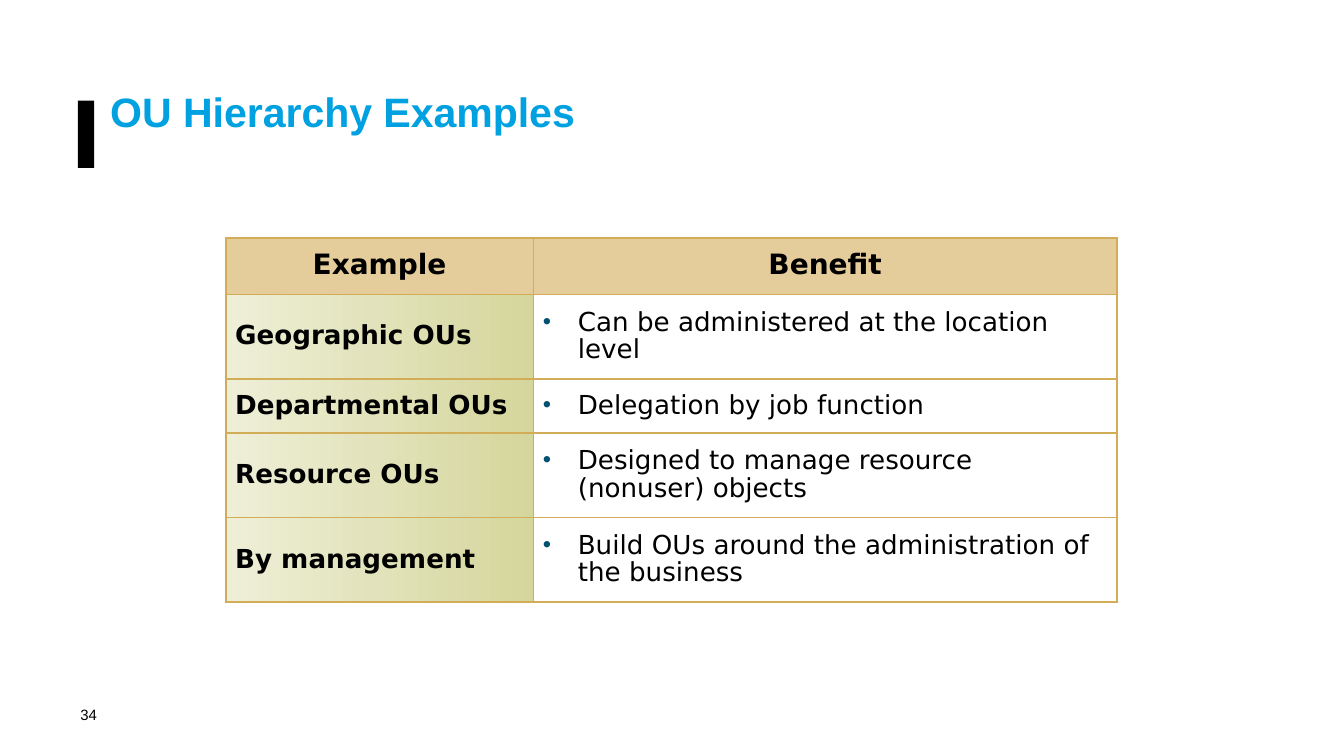
"""Build the slide that compares example OU hierarchies and their benefits."""
from typing import NamedTuple

import lxml.etree
import pptx
import pptx.dml.color
import pptx.enum.shapes
import pptx.enum.text
import pptx.oxml.ns
import pptx.util

RGBColor = pptx.dml.color.RGBColor
Inches = pptx.util.Inches
Pt = pptx.util.Pt
Align = pptx.enum.text.PP_ALIGN
qn = pptx.oxml.ns.qn

BLACK = RGBColor(0x00, 0x00, 0x00)
WHITE = RGBColor(0xFF, 0xFF, 0xFF)
TITLE_BLUE = RGBColor(0x00, 0xA1, 0xE1)
HEADER_TAN = RGBColor(0xE4, 0xCD, 0x9A)
BORDER_GOLD = RGBColor(0xD2, 0xAC, 0x56)
BULLET_BLUE = RGBColor(0x00, 0x50, 0x70)
LABEL_GRADIENT = (RGBColor(0xEE, 0xEF, 0xD7), RGBColor(0xD5, 0xD6, 0x9C))

SLIDE_WIDTH = 10
SLIDE_HEIGHT = SLIDE_WIDTH * 9 / 16
HEADING_FONT = "Arial"
TABLE_FONT = "DejaVu Sans"
COLUMN_WIDTHS = (2.29, 4.34)
HEADER_HEIGHT = 0.42
LINE_HEIGHTS = {1: 0.4, 2: 0.63}
CELL_MARGIN = 0.07
BULLET_INDENT = 0.26


class Hierarchy(NamedTuple):
    """One example with its benefit and the lines the benefit takes."""

    example: str
    benefit: str
    lines: int


HIERARCHIES = (
    Hierarchy("Geographic OUs", "Can be administered at the location level", 2),
    Hierarchy("Departmental OUs", "Delegation by job function", 1),
    Hierarchy("Resource OUs", "Designed to manage resource (nonuser) objects", 2),
    Hierarchy("By management", "Build OUs around the administration of the business", 2),
)


def set_font(paragraph, name: str, size: float, color: RGBColor, bold: bool) -> None:
    """Set the font that all runs of a paragraph share."""
    font = paragraph.font
    font.name, font.size, font.bold = name, Pt(size), bold
    font.color.rgb = color


def add_text(slide, text: str, box: tuple, margins: tuple, size: float,
             color: RGBColor, bold: bool) -> None:
    """Add a wrapped text box with one heading-font paragraph."""
    frame = slide.shapes.add_textbox(*map(Inches, box)).text_frame
    frame.word_wrap = True
    frame.margin_left = frame.margin_right = Inches(margins[0])
    frame.margin_top = frame.margin_bottom = Inches(margins[1])
    frame.text = text
    set_font(frame.paragraphs[0], HEADING_FONT, size, color, bold)


def add_bullet(paragraph) -> None:
    """Give a paragraph a hanging coloured bullet."""
    properties = paragraph._p.get_or_add_pPr()
    properties.set("marL", str(Inches(BULLET_INDENT)))
    properties.set("indent", str(-Inches(BULLET_INDENT)))
    color = lxml.etree.SubElement(properties, qn("a:buClr"))
    lxml.etree.SubElement(color, qn("a:srgbClr"), val=str(BULLET_BLUE))
    lxml.etree.SubElement(properties, qn("a:buSzPct"), val="90000")
    lxml.etree.SubElement(properties, qn("a:buFont"), typeface=HEADING_FONT)
    lxml.etree.SubElement(properties, qn("a:buChar"), char="•")


def add_borders(cell) -> None:
    """Draw a thin gold line on all four sides of a cell."""
    properties = cell._tc.get_or_add_tcPr()
    for position, side in enumerate(("a:lnL", "a:lnR", "a:lnT", "a:lnB")):
        line = lxml.etree.Element(qn(side), w=str(Pt(1)))
        fill = lxml.etree.SubElement(line, qn("a:solidFill"))
        lxml.etree.SubElement(fill, qn("a:srgbClr"), val=str(BORDER_GOLD))
        properties.insert(position, line)


def fill_cell(cell, colors: tuple) -> None:
    """Fill a cell with one colour, or a left-to-right gradient of two."""
    if len(colors) == 1:
        cell.fill.solid()
        cell.fill.fore_color.rgb = colors[0]
        return
    cell.fill.gradient()
    cell.fill.gradient_angle = 0
    for stop, color in zip(cell.fill.gradient_stops, colors):
        stop.color.rgb = color


def write_cell(cell, text: str, colors: tuple, size: float = 14, bold: bool = False,
               alignment=Align.LEFT, bulleted: bool = False) -> None:
    """Write and style one table cell."""
    cell.text = text
    cell.vertical_anchor = pptx.enum.text.MSO_ANCHOR.MIDDLE
    cell.margin_left = cell.margin_right = Inches(CELL_MARGIN)
    cell.margin_top = cell.margin_bottom = Inches(CELL_MARGIN)
    paragraph = cell.text_frame.paragraphs[0]
    paragraph.alignment = alignment
    paragraph.line_spacing = 0.9
    if bulleted:
        add_bullet(paragraph)
    set_font(paragraph, TABLE_FONT, size, BLACK, bold)
    fill_cell(cell, colors)
    add_borders(cell)


def add_hierarchy_table(slide, left: float, top: float) -> None:
    """Add the table of hierarchy examples and benefits."""
    heights = [HEADER_HEIGHT] + [LINE_HEIGHTS[item.lines] for item in HIERARCHIES]
    table = slide.shapes.add_table(
        len(heights), len(COLUMN_WIDTHS), Inches(left), Inches(top),
        Inches(sum(COLUMN_WIDTHS)), Inches(sum(heights))).table
    for column, width in zip(table.columns, COLUMN_WIDTHS):
        column.width = Inches(width)
    for row, height in zip(table.rows, heights):
        row.height = Inches(height)
    for column, heading in enumerate(("Example", "Benefit")):
        write_cell(table.cell(0, column), heading, (HEADER_TAN,), size=15, bold=True,
                   alignment=Align.CENTER)
    for row, item in enumerate(HIERARCHIES, start=1):
        write_cell(table.cell(row, 0), item.example, LABEL_GRADIENT, bold=True)
        write_cell(table.cell(row, 1), item.benefit, (WHITE,), bulleted=True)


def add_title_bar(slide, box: tuple) -> None:
    """Add the black bar beside the title."""
    shape = slide.shapes.add_shape(
        pptx.enum.shapes.MSO_SHAPE.RECTANGLE, *map(Inches, box))
    shape.shadow.inherit = False
    shape.fill.solid()
    shape.fill.fore_color.rgb = BLACK
    shape.line.fill.background()


def main() -> None:
    """Build and save the presentation."""
    presentation = pptx.Presentation()
    presentation.slide_width = Inches(SLIDE_WIDTH)
    presentation.slide_height = Inches(SLIDE_HEIGHT)
    slide = presentation.slides.add_slide(presentation.slide_layouts[6])
    add_text(slide, "34", (0.5, 5.2, 4.02, 0.24), (0.1, 0.05), 8, BLACK, False)
    add_title_bar(slide, (0.58, 0.75, 0.12, 0.5))
    add_text(slide, "OU Hierarchy Examples", (0.82, 0.64, 8.35, 0.5), (0, 0), 22,
             TITLE_BLUE, True)
    add_hierarchy_table(slide, 1.68, 1.77)
    presentation.save("out.pptx")


if __name__ == "__main__":
    main()
